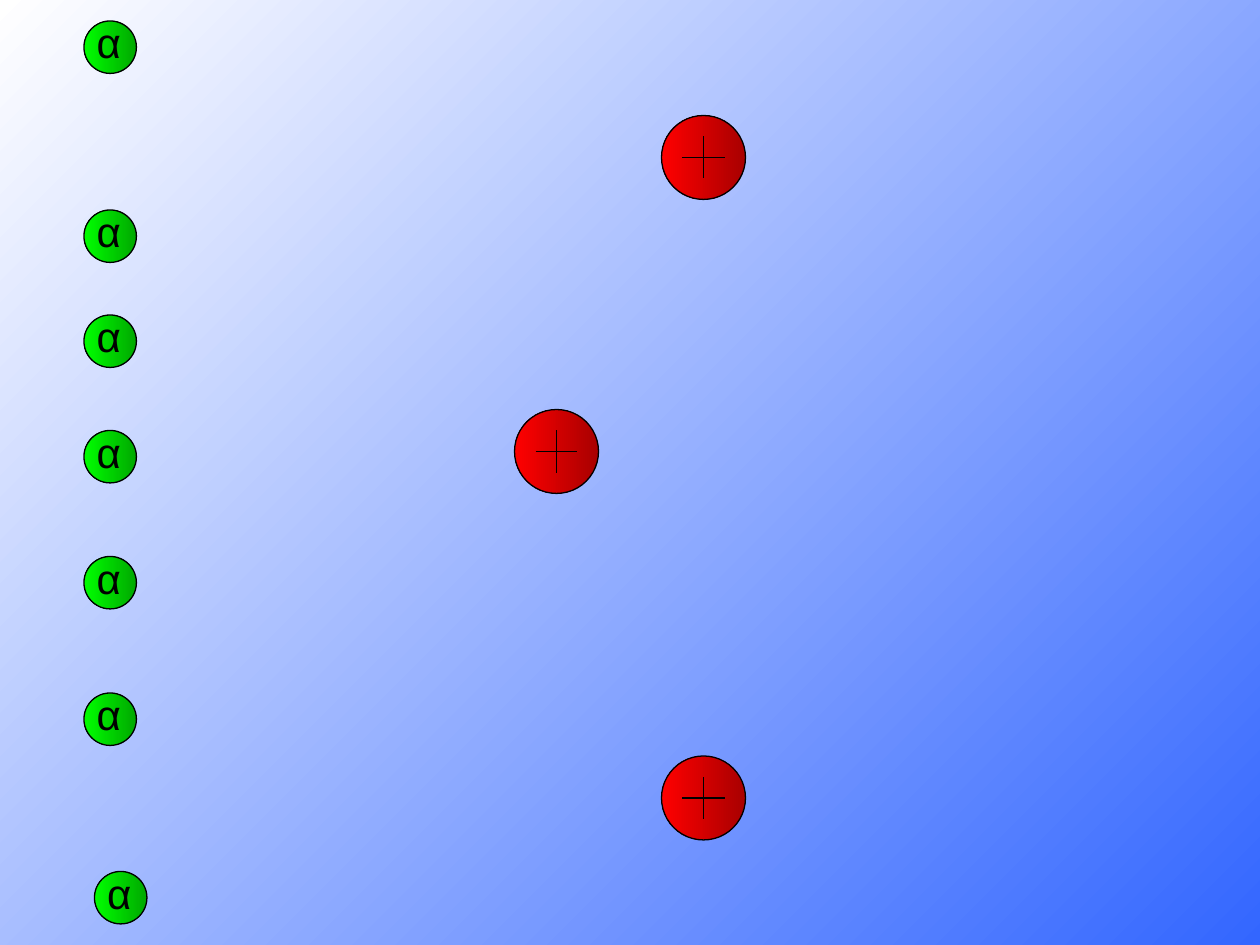
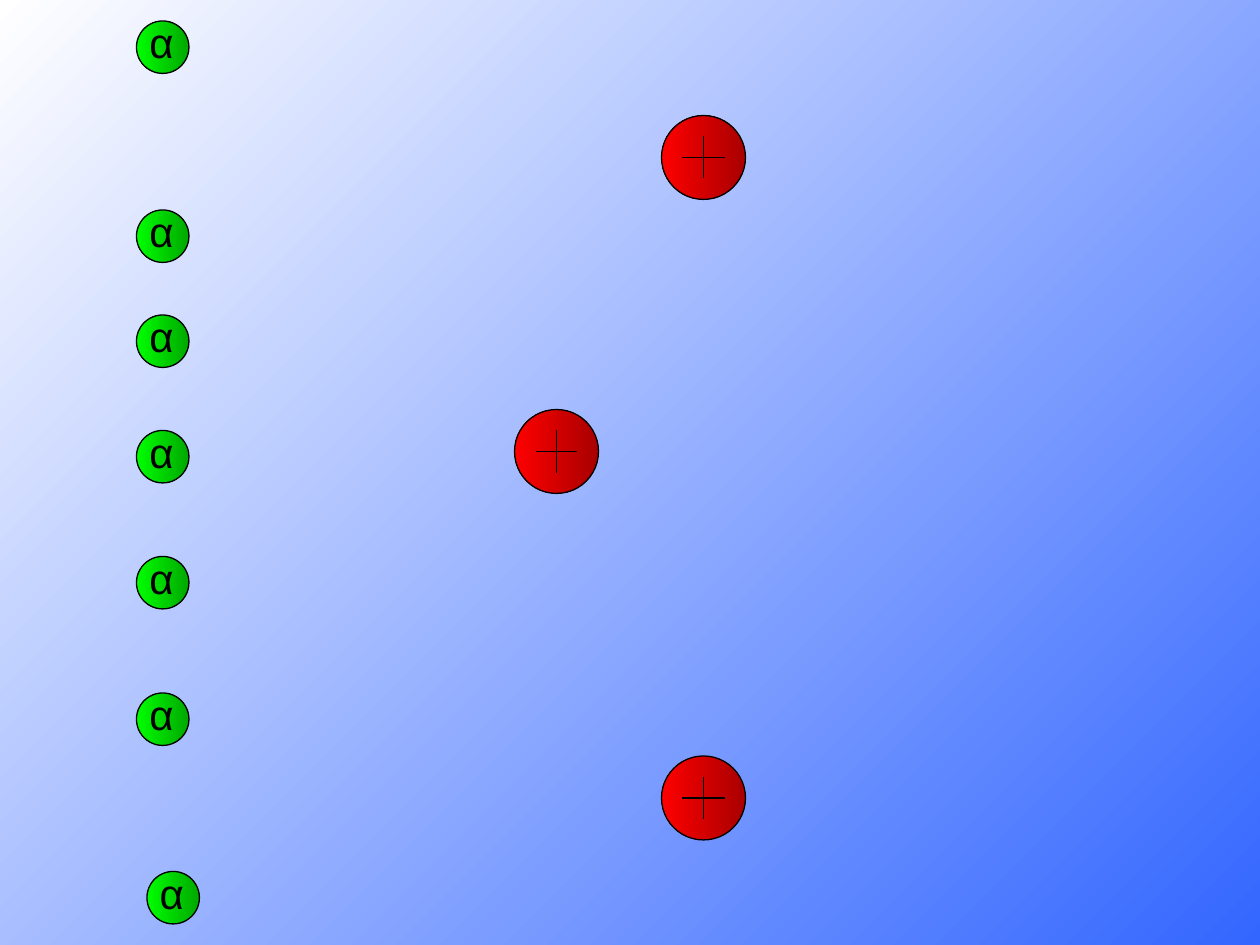
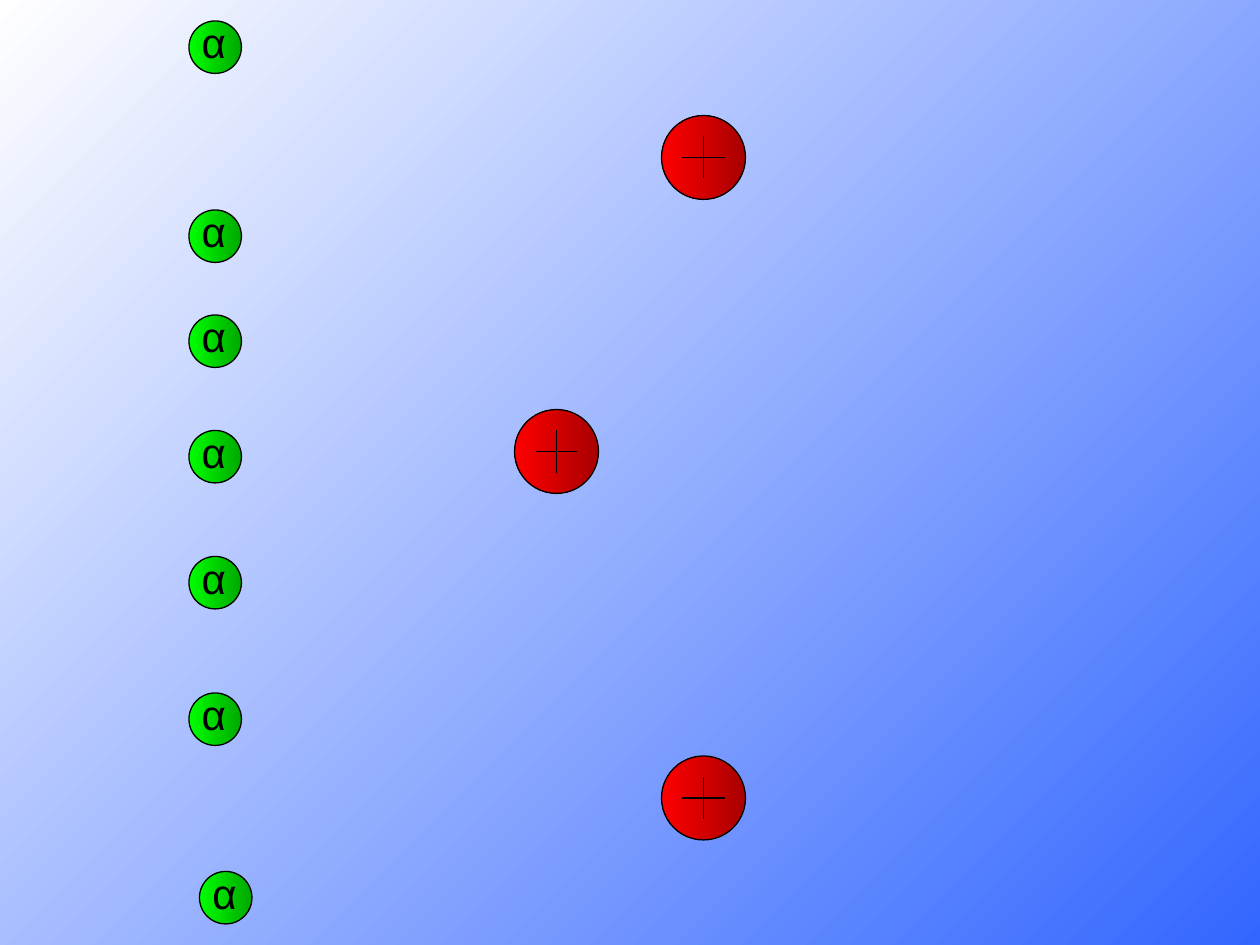
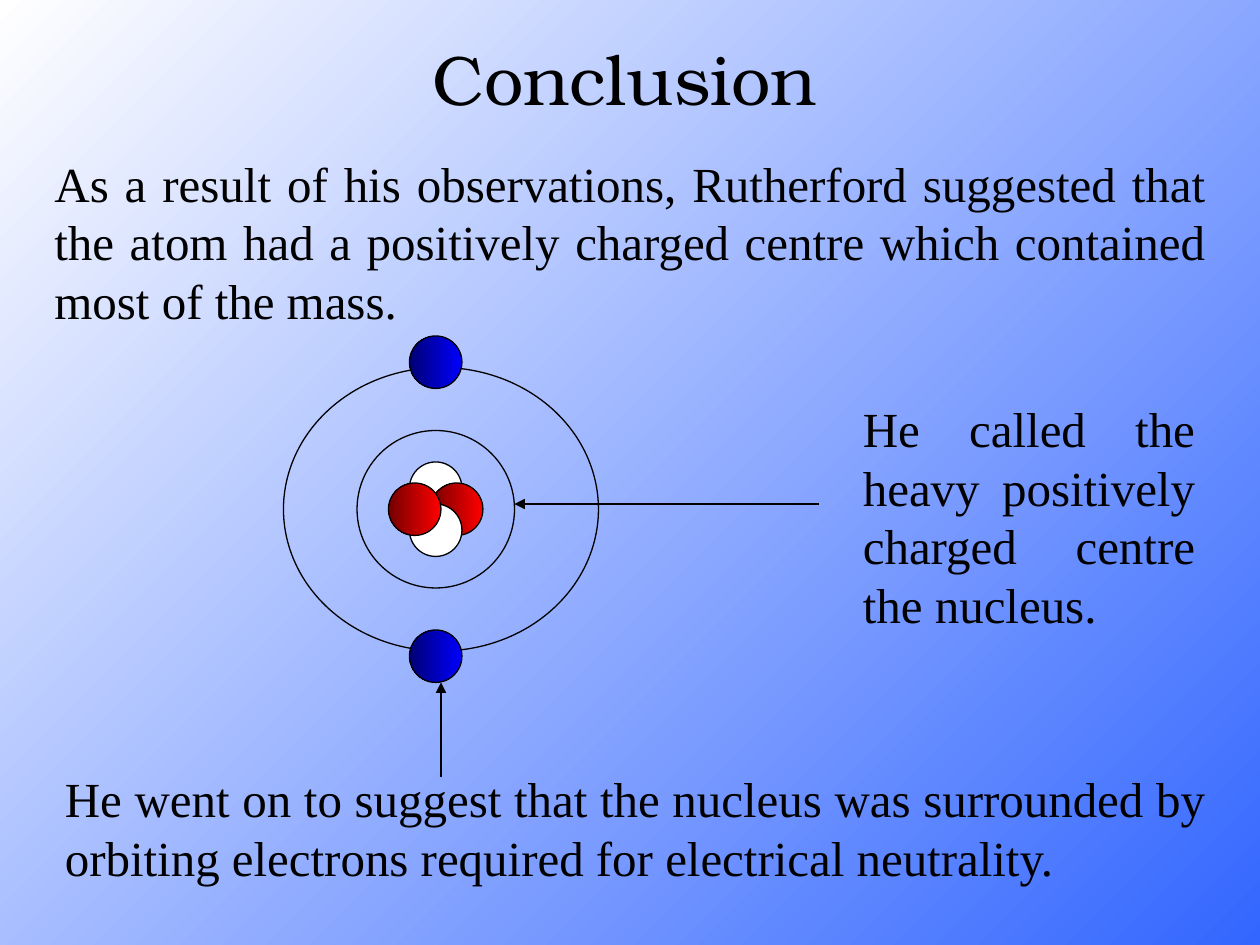
"""Build four slides on alpha scattering and the model of the atom."""
from dataclasses import dataclass
from typing import Any, Optional

from pptx import Presentation, util as u
from pptx.dml.color import RGBColor
from pptx.enum import shapes as es, text as et
from pptx.oxml.ns import qn
from lxml import etree

BLACK = RGBColor(0x00, 0x00, 0x00)
WHITE = RGBColor(0xFF, 0xFF, 0xFF)
SKY = RGBColor(0x33, 0x66, 0xFF)
RED = RGBColor(0xFF, 0x00, 0x00)
RUST = RGBColor(0xA8, 0x00, 0x00)
WINE = RGBColor(0x75, 0x00, 0x00)
LIME = RGBColor(0x00, 0xFF, 0x00)
LEAF = RGBColor(0x00, 0xA8, 0x00)
BLUE = RGBColor(0x00, 0x00, 0xFF)
NAVY = RGBColor(0x00, 0x00, 0x75)

BALL = 30
CORE = 48
STEP = 30
COLS = (48, 48 + STEP, 48 + 2 * STEP)
FRAME = {"margin_left": u.Pt(7.2), "margin_right": u.Pt(7.2),
         "margin_top": u.Pt(3.6), "margin_bottom": u.Pt(3.6),
         "vertical_anchor": et.MSO_ANCHOR.TOP,
         "auto_size": et.MSO_AUTO_SIZE.SHAPE_TO_FIT_TEXT}


@dataclass(frozen=True)
class Box:
    """Place and size in points."""
    x: float
    y: float
    w: float
    h: float

    def lens(self) -> list[int]:
        """Return the four lengths."""
        return [u.Pt(v) for v in (self.x, self.y, self.w, self.h)]


@dataclass(frozen=True)
class Disc:
    """An ellipse with no fill, one colour, or two blended from right to left."""
    box: Box
    tones: tuple[RGBColor, ...] = ()


@dataclass(frozen=True)
class Line:
    """A straight line between two points."""
    start: tuple[float, float]
    end: tuple[float, float]
    arrow: bool = False


@dataclass(frozen=True)
class Label:
    """A text with its box and style."""
    box: Box
    words: str
    size: int
    face: str
    wrap: bool = True
    align: Optional[et.PP_ALIGN] = None


CORES = ((378, 66), (294, 234), (378, 432))
RAYS = ((0, 396), (0, 246), (0, 120), (6, 498), (0, 12), (0, 318), (0, 180))

TITLE = Label(Box(240, 16.6, 248, 55.4), "Conclusion", 40, "TeX Gyre Bonum",
              False, et.PP_ALIGN.LEFT)
NOTES = (
    (Box(24, 84, 672, 108),
     "As a result of his observations, Rutherford suggested that the atom had "
     "a positively charged centre which contained most of the mass."),
    (Box(486, 224, 204, 142),
     "He called the heavy positively charged centre the nucleus."),
    (Box(30, 435.6, 666, 75),
     "He went on to suggest that the nucleus was surrounded by orbiting "
     "electrons required for electrical neutrality."),
)


def put(item: Any, values: dict[str, Any]) -> None:
    """Set each named attribute of an item."""
    for name, value in values.items():
        setattr(item, name, value)


def blend(fill: Any, tones: tuple[RGBColor, ...], angle: int) -> None:
    """Fill with a two-colour gradient."""
    fill.gradient()
    fill.gradient_angle = angle
    for place, (stop, tone) in enumerate(zip(fill.gradient_stops, tones)):
        stop.position = place
        stop.color.rgb = tone


def ink(line: Any) -> None:
    """Give an outline the shared thin black stroke."""
    line.fill.solid()
    line.fill.fore_color.rgb = BLACK
    line.width = u.Pt(0.75)


def ball(x: float, y: float, *tones: RGBColor, size: float = BALL) -> Disc:
    """Return a round disc."""
    return Disc(Box(x, y, size, size), tones)


def draw(host: Any, disc: Disc) -> None:
    """Draw an ellipse."""
    shape = host.add_shape(es.MSO_SHAPE.OVAL, *disc.box.lens())
    shape.shadow.inherit = False
    if len(disc.tones) == 2:
        blend(shape.fill, disc.tones, 180)
    elif disc.tones:
        shape.fill.solid()
        shape.fill.fore_color.rgb = disc.tones[0]
    else:
        shape.fill.background()
    ink(shape.line)


def rule(host: Any, line: Line) -> None:
    """Draw a line, with an arrowhead if asked."""
    ends = [u.Pt(v) for v in line.start + line.end]
    wire = host.add_connector(es.MSO_CONNECTOR.STRAIGHT, *ends)
    ink(wire.line)
    props = wire._element.spPr
    if line.arrow:
        etree.SubElement(props.find(qn("a:ln")), qn("a:tailEnd"), type="triangle")
    etree.SubElement(props, qn("a:effectLst"))


def style(shape: Any, label: Label) -> None:
    """Place a text shape and write its words."""
    put(shape, dict(zip(("left", "top", "width", "height"), label.box.lens())))
    frame = shape.text_frame
    put(frame, {**FRAME, "word_wrap": label.wrap})
    para = frame.paragraphs[0]
    if label.align is not None:
        para.alignment = label.align
    run = para.add_run()
    run.text = label.words
    put(run.font, {"size": u.Pt(label.size), "name": label.face})
    run.font.color.rgb = BLACK


def write(host: Any, label: Label) -> None:
    """Add a text box."""
    style(host.add_textbox(*label.box.lens()), label)


def group(slide: Any) -> Any:
    """Add a group and return its shapes."""
    return slide.shapes.add_group_shape().shapes


def core(slide: Any, x: float, y: float) -> None:
    """Draw a positive core with its plus sign."""
    host = group(slide)
    draw(host, ball(x, y, RUST, RED, size=CORE))
    mid, arm = CORE / 2, CORE / 4
    rule(host, Line((x + mid, y + arm), (x + mid, y + CORE - arm)))
    rule(host, Line((x + arm, y + mid), (x + CORE - arm, y + mid)))


def scatter(deck: Any, left: float) -> None:
    """Add a slide with the alpha particles at one stage."""
    slide = deck.slides.add_slide(deck.slide_layouts[6])
    for x, y in CORES:
        core(slide, x, y)
    host = group(slide)
    for shift, y in RAYS:
        x = left + shift
        draw(host, ball(x, y, LEAF, LIME))
        write(host, Label(Box(x + 0.2, y - 6, 29.5, 36), "α", 24, "Arial", False))


def atom(slide: Any) -> None:
    """Draw the nucleus, its orbits and the pointers."""
    host = group(slide)
    for disc in (ball(234, 264, WHITE), ball(246, 276, RED, WINE),
                 ball(234, 288, WHITE), ball(222, 276, RED, WINE)):
        draw(host, disc)
    host = group(slide)
    draw(host, ball(204, 246, size=90))
    rule(host, Line((468, 288), (294, 288), True))
    host = group(slide)
    draw(host, Disc(Box(162, 210, 180, 162)))
    for y in (360, 192):
        draw(host, ball(234, y, BLUE, NAVY))
    rule(slide.shapes, Line((252, 444), (252, 390), True))


def finish(deck: Any) -> None:
    """Add the concluding slide."""
    slide = deck.slides.add_slide(deck.slide_layouts[5])
    style(slide.shapes.title, TITLE)
    for box, words in NOTES:
        write(slide.shapes, Label(box, words, 28, "Times New Roman",
                                  align=et.PP_ALIGN.JUSTIFY))
    atom(slide)


def main() -> None:
    """Build and save the deck."""
    deck = Presentation()
    put(deck, {"slide_width": u.Pt(720), "slide_height": u.Pt(540)})
    blend(deck.slide_master.background.fill, (SKY, WHITE), 135)
    for left in COLS:
        scatter(deck, left)
    finish(deck)
    deck.save("out.pptx")


if __name__ == "__main__":
    main()
